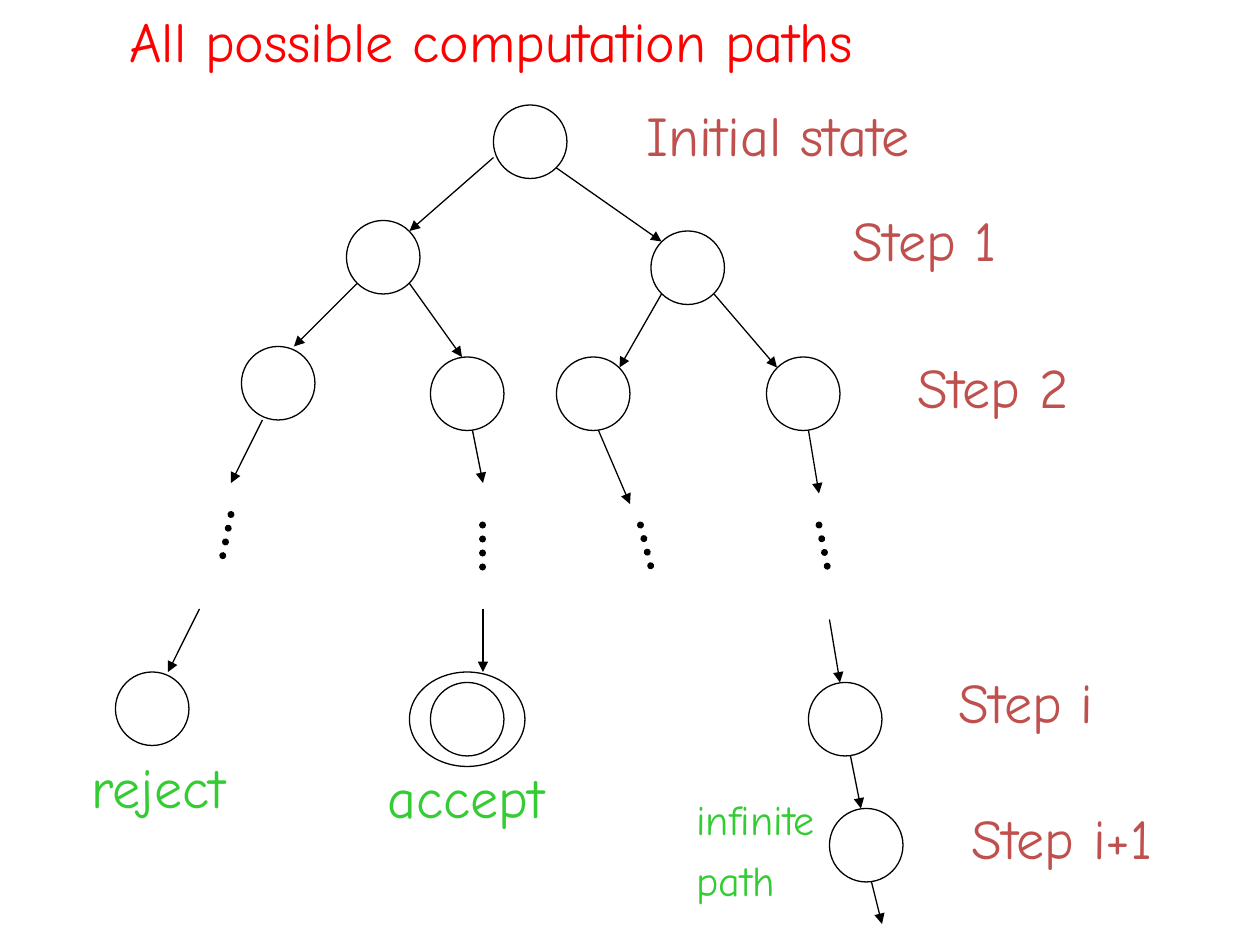
from lxml.etree import SubElement
from pptx import Presentation
from pptx.dml.color import RGBColor
from pptx.enum.dml import MSO_LINE
from pptx.enum.shapes import MSO_CONNECTOR, MSO_SHAPE
from pptx.oxml.ns import qn
from pptx.util import Cm, Pt

THEME = {
    "font": "Comic Neue", "title": "FF0000", "step": "C0504D", "outcome": "33CC33",
    "ink": "000000", "large": 32, "small": 24, "thin": 0.75, "dots": 4,
}
GRID = 2.54 / 12
STATE = 7

# left, top in grid units
STATES = [
    (47, 10), (33, 21), (62, 22), (23, 33), (41, 34), (53, 34), (73, 34),
    (11, 64), (41, 65), (77, 65), (79, 77),
]
ACCEPT_RING = (39, 64, 11, 9)
ARROWS = [
    (47, 15, 39, 22), (53, 16, 63, 23),
    (34, 27, 28, 33), (39, 27, 44, 34), (63, 28, 59, 35), (68, 28, 74, 35),
    (25, 40, 22, 46), (45, 41, 46, 46), (57, 41, 60, 48), (77, 41, 78, 47),
    (19, 58, 16, 64), (46, 58, 46, 64), (79, 59, 80, 65),
    (81, 72, 82, 77), (83, 84, 84, 88),
]
ELLIPSES = [(22, 49, 21, 54), (46, 50, 46, 55), (61, 50, 62, 54), (78, 50, 79, 55)]
LABELS = [
    (["All possible computation paths"], 2.36, 0, 15.14, "title", "large"),
    (["Initial state"], 12.78, 1.9, 5.89, "step", "large"),
    (["Step 1"], 16.94, 4.02, 3.43, "step", "large"),
    (["Step 2"], 18.24, 6.98, 3.58, "step", "large"),
    (["Step i"], 19.08, 13.34, 3.25, "step", "large"),
    (["Step i+1"], 19.33, 16.08, 4.19, "step", "large"),
    (["accept"], 7.57, 15.24, 3.66, "outcome", "large"),
    (["reject"], 1.6, 15.04, 3.23, "outcome", "large"),
    (["infinite", "path"], 13.79, 15.88, 2.92, "outcome", "small"),
]


def grid(*units):
    return [Cm(GRID * n) for n in units]


def add_text(s, lines, left, top, width, height, color, size, before=6):
    tf = s.shapes.add_textbox(Cm(left), Cm(top), Cm(width), Cm(height)).text_frame
    tf.word_wrap = False
    for i, line in enumerate(lines):
        p = tf.paragraphs[0] if i == 0 else tf.add_paragraph()
        if i:
            p.space_before = Pt(before)
        r = p.add_run()
        r.text = line
        r.font.name = THEME["font"]
        r.font.size = Pt(THEME[size])
        r.font.color.rgb = RGBColor.from_string(THEME[color])


def set_line(line, width):
    line.color.rgb = RGBColor.from_string(THEME["ink"])
    line.width = Pt(THEME[width])


def add_ellipse(s, left, top, width=STATE, height=STATE):
    sp = s.shapes.add_shape(MSO_SHAPE.OVAL, *grid(left, top, width, height))
    sp.shadow.inherit = False
    sp.fill.background()
    set_line(sp.line, "thin")


def add_line(s, ends, width):
    c = s.shapes.add_connector(MSO_CONNECTOR.STRAIGHT, *grid(*ends))
    set_line(c.line, width)
    ln = c.line._get_or_add_ln()
    if width == "dots":
        c.line.dash_style = MSO_LINE.ROUND_DOT
        ln.set("cap", "rnd")
    else:
        SubElement(ln, qn("a:tailEnd"), type="triangle", w="med", len="med")
    SubElement(c._element.spPr, qn("a:effectLst"))


def main():
    """Build the tree of computation paths."""
    prs = Presentation()
    prs.slide_width, prs.slide_height = Cm(25.4), Cm(19.05)
    s = prs.slides.add_slide(prs.slide_layouts[6])
    for state in STATES:
        add_ellipse(s, *state)
    add_ellipse(s, *ACCEPT_RING)
    for ends in ARROWS:
        add_line(s, ends, "thin")
    for ends in ELLIPSES:
        add_line(s, ends, "dots")
    for lines, left, top, width, color, size in LABELS:
        height = 1.63 if size == "large" else 2.51
        add_text(s, lines, left, top, width, height, color=color, size=size)
    prs.save("out.pptx")


if __name__ == "__main__":
    main()
